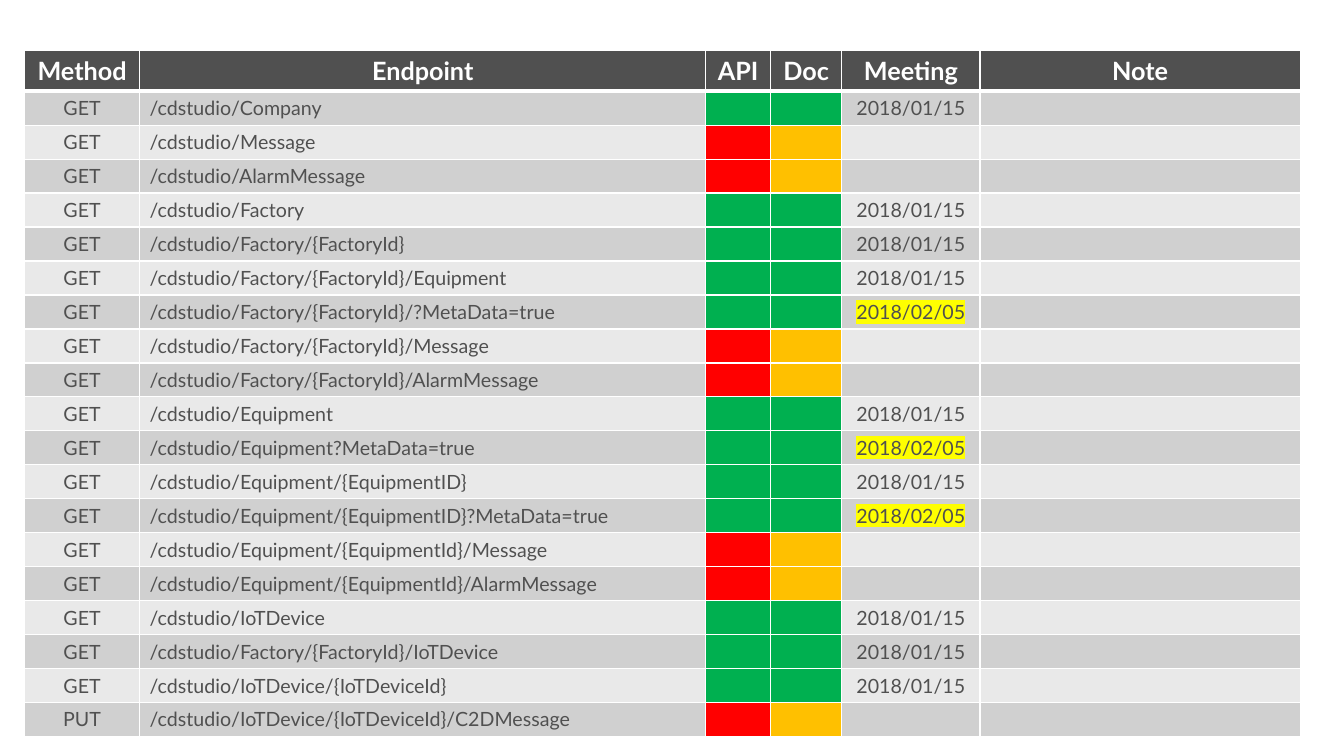
from dataclasses import dataclass

from lxml.etree import SubElement
from pptx import Presentation
from pptx.dml.color import RGBColor
from pptx.enum.text import PP_ALIGN
from pptx.oxml import parse_xml
from pptx.oxml.ns import nsdecls, qn
from pptx.util import Cm, Pt


@dataclass(frozen=True)
class Theme:
    font: str = "Lato"
    header_size: int = 18
    body_size: int = 14
    white: str = "FFFFFF"
    dark: str = "505050"
    bands: tuple = ("D0D0D0", "E9E9E9")
    done: tuple = ("00B050", "00B050")
    pending: tuple = ("FF0000", "FFC000")
    highlight: str = "FFFF00"
    rule: int = 1
    header_rule: int = 3


THEME = Theme()
FIRST, SECOND = "2018/01/15", "2018/02/05"  # meeting dates

# Column title and width in cm
COLUMNS = [("Method", 2.9), ("Endpoint", 14.27), ("API", 1.63),
           ("Doc", 1.8), ("Meeting", 3.48), ("Note", 8.08)]

# Method, endpoint below /cdstudio/, meeting date (empty while pending)
ENDPOINTS = [
    ("GET", "Company", FIRST),
    ("GET", "Message", ""),
    ("GET", "AlarmMessage", ""),
    ("GET", "Factory", FIRST),
    ("GET", "Factory/{FactoryId}", FIRST),
    ("GET", "Factory/{FactoryId}/Equipment", FIRST),
    ("GET", "Factory/{FactoryId}/?MetaData=true", SECOND),
    ("GET", "Factory/{FactoryId}/Message", ""),
    ("GET", "Factory/{FactoryId}/AlarmMessage", ""),
    ("GET", "Equipment", FIRST),
    ("GET", "Equipment?MetaData=true", SECOND),
    ("GET", "Equipment/{EquipmentID}", FIRST),
    ("GET", "Equipment/{EquipmentID}?MetaData=true", SECOND),
    ("GET", "Equipment/{EquipmentId}/Message", ""),
    ("GET", "Equipment/{EquipmentId}/AlarmMessage", ""),
    ("GET", "IoTDevice", FIRST),
    ("GET", "Factory/{FactoryId}/IoTDevice", FIRST),
    ("GET", "IoTDevice/{IoTDeviceId}", FIRST),
    ("PUT", "IoTDevice/{IoTDeviceId}/C2DMessage", ""),
]


def set_borders(cell, top, bottom):
    """Draw white rules on all four sides, widths in points."""
    sides = {"lnL": THEME.rule, "lnR": THEME.rule, "lnT": top, "lnB": bottom}
    for side, width in sides.items():
        cell._tc.get_or_add_tcPr().append(parse_xml(
            f'<a:{side} {nsdecls("a")} w="{Pt(width)}"><a:solidFill>'
            f'<a:srgbClr val="{THEME.white}"/></a:solidFill></a:{side}>'))


def set_fill(cell, color):
    cell.fill.solid()
    cell.fill.fore_color.rgb = RGBColor.from_string(color)


def set_text(cell, text, size, color, bold, align):
    para = cell.text_frame.paragraphs[0]
    para.alignment = align
    if not text:
        # An empty cell still needs its type size to keep the row low
        SubElement(para._p, qn("a:endParaRPr"), sz=str(size * 100))
        return
    span = para.add_run()
    span.text = text
    formats = {"name": THEME.font, "size": Pt(size), "bold": bold}
    for name, value in formats.items():
        setattr(span.font, name, value)
    span.font.color.rgb = RGBColor.from_string(color)
    if text == SECOND:
        span.font._element.find(qn("a:solidFill")).addnext(parse_xml(
            f'<a:highlight {nsdecls("a")}><a:srgbClr val="{THEME.highlight}"/>'
            '</a:highlight>'))


def fill_header(table):
    for column, (title, _) in enumerate(COLUMNS):
        cell = table.cell(0, column)
        set_borders(cell, THEME.rule, THEME.header_rule)
        set_fill(cell, THEME.dark)
        set_text(cell, title, THEME.header_size, THEME.white, True, PP_ALIGN.CENTER)


def fill_endpoint(table, row, method, endpoint, meeting):
    band = THEME.bands[(row - 1) % 2]
    status = THEME.done if meeting else THEME.pending
    texts = [method, f"/cdstudio/{endpoint}", "", "", meeting, ""]
    fills = [band, band, *status, band, band]
    top = THEME.header_rule if row == 1 else THEME.rule
    for column, (text, fill) in enumerate(zip(texts, fills)):
        cell = table.cell(row, column)
        set_borders(cell, top, THEME.rule)
        set_fill(cell, fill)
        align = PP_ALIGN.LEFT if column == 1 else PP_ALIGN.CENTER
        set_text(cell, text, THEME.body_size, THEME.dark, False, align)


def add_endpoint_table(page, box):
    """Place the endpoint status table in box: left, top, width, height."""
    table = page.shapes.add_table(len(ENDPOINTS) + 1, len(COLUMNS), *box).table
    total = sum(width for _, width in COLUMNS)
    for column, (_, width) in zip(table.columns, COLUMNS):
        column.width = int(box[2] * width / total)
    for row in table.rows:
        row.height = Cm(0.81)
    table.rows[0].height = Cm(0.97)
    fill_header(table)
    for row, record in enumerate(ENDPOINTS, start=1):
        fill_endpoint(table, row, *record)


def main():
    deck = Presentation()
    deck.slide_width, deck.slide_height = Cm(33.87), Cm(19.05)
    page = deck.slides.add_slide(deck.slide_layouts[6])
    add_endpoint_table(page, (Cm(0.62), Cm(1.28), Cm(32.16), Cm(17.09)))
    deck.save("out.pptx")


if __name__ == "__main__":
    main()
